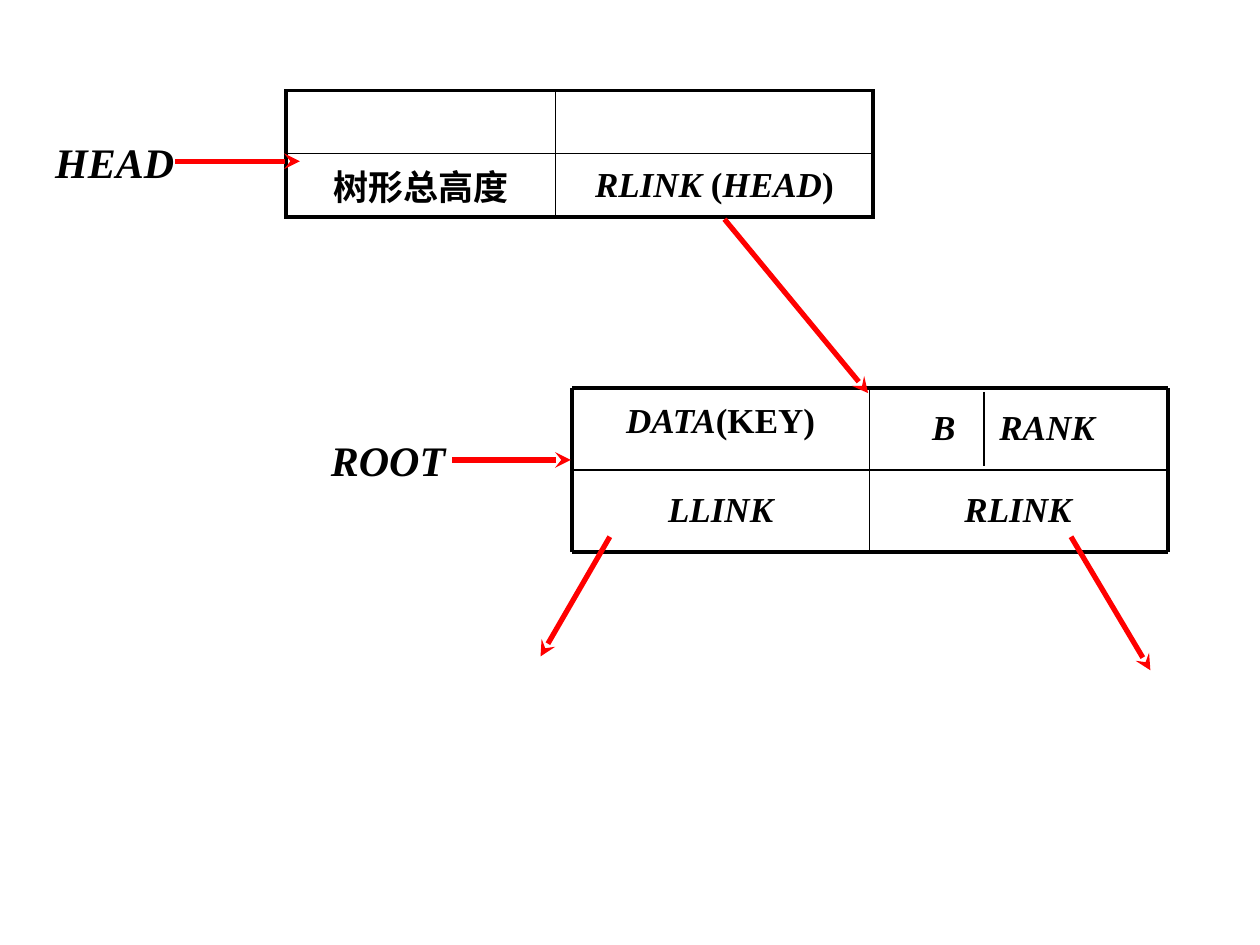
from dataclasses import dataclass

from lxml.etree import SubElement
from pptx import Presentation
from pptx.dml.color import RGBColor
from pptx.enum.shapes import MSO_CONNECTOR
from pptx.enum.text import PP_ALIGN
from pptx.oxml.ns import qn
from pptx.util import Inches, Pt


@dataclass(frozen=True)
class Theme:
    font: str = "Times New Roman"
    ink: RGBColor = RGBColor(0, 0, 0)
    pointer: RGBColor = RGBColor(0xFF, 0, 0)
    field_size: int = 20
    label_size: int = 24
    outer: float = 2.25
    inner: float = 1
    divider: float = 0.75
    arrow: float = 3


THEME = Theme()


def write(frame, runs, size):
    """Write (text, italic) runs as one centred bold paragraph."""
    paragraph = frame.paragraphs[0]
    paragraph.alignment = PP_ALIGN.CENTER
    font = paragraph.font
    font.name, font.size, font.bold = THEME.font, Pt(size), True
    font.color.rgb = THEME.ink
    italics = {italic for _, italic in runs}
    if len(italics) == 1:
        font.italic = italics.pop()
    for text, italic in runs:
        run = paragraph.add_run()
        run.text = text
        if font.italic is None:
            run.font.italic = italic


def add_text(slide, runs, left, top, width, height, size, inset):
    box = slide.shapes.add_textbox(*map(Inches, (left, top, width, height)))
    frame = box.text_frame
    frame.word_wrap = True
    frame.margin_left = frame.margin_right = frame.margin_bottom = 0
    frame.margin_top = Inches(inset)
    write(frame, runs, size)


def add_line(slide, start, end, width, color=THEME.ink):
    line = slide.shapes.add_connector(
        MSO_CONNECTOR.STRAIGHT, *map(Inches, (*start, *end)))
    line.line.width = Pt(width)
    line.line.color.rgb = color
    SubElement(line._element.spPr, qn("a:effectLst"))
    return line


def add_pointer(slide, start, end):
    pointer = add_line(slide, start, end, THEME.arrow, THEME.pointer)
    SubElement(pointer.line._get_or_add_ln(), qn("a:tailEnd"), type="stealth")


def set_borders(cell, widths):
    properties = cell._tc.get_or_add_tcPr()
    for side, width in zip("LRTB", widths):
        border = SubElement(properties, qn(f"a:ln{side}"), w=str(Pt(width)))
        fill = SubElement(border, qn("a:solidFill"))
        SubElement(fill, qn("a:srgbClr"), val=str(THEME.ink))


def add_head_table(slide):
    columns, row_height = (2.14, 2.52), 0.5
    table = slide.shapes.add_table(
        2, 2, Inches(2.27), Inches(0.72),
        Inches(sum(columns)), Inches(2 * row_height)).table
    table.first_row = table.horz_banding = False
    for column, width in zip(table.columns, columns):
        column.width = Inches(width)
    for r, row in enumerate(table.rows):
        row.height = Inches(row_height)
        for c, cell in enumerate(row.cells):
            outside = (c == 0, c == 1, r == 0, r == 1)
            set_borders(cell, [THEME.outer if edge else THEME.inner
                               for edge in outside])
            cell.fill.background()
    height_cell, link_cell = table.cell(1, 0), table.cell(1, 1)
    height_cell.margin_top, link_cell.margin_top = Inches(0.05), Inches(0.1)
    write(height_cell.text_frame, [("树形总高度", False)], THEME.field_size)
    write(link_cell.text_frame,
          [("RLINK", True), (" (", False), ("HEAD", True), (")", False)],
          THEME.field_size)


def add_root_node(slide):
    xs, ys = (4.54, 6.9, 9.27), (3.08, 3.73, 4.38)
    divider = 7.81

    # Fields: runs, left, top, width, top inset
    column = 2.36
    fields = [
        ([("DATA", True), ("(KEY)", False)], xs[0], ys[0], column, 0.08),
        ([("B", True)], 7.17, ys[0], 0.64, 0.14),
        ([("RANK", True)], divider, ys[0], 1, 0.14),
        ([("LLINK", True)], xs[0], ys[1], column, 0.14),
        ([("RLINK", True)], xs[1], ys[1], column, 0.14),
    ]
    for runs, left, top, width, inset in fields:
        add_text(slide, runs, left, top, width, 0.65, THEME.field_size, inset)

    # Grid, with heavy outer edges
    weights = (THEME.outer, THEME.inner, THEME.outer)
    for x, y, weight in zip(xs, ys, weights):
        add_line(slide, (xs[0], y), (xs[-1], y), weight)
        add_line(slide, (x, ys[0]), (x, ys[-1]), weight)
    add_line(slide, (divider, 3.11), (divider, 3.7), THEME.divider)


def main():
    presentation = Presentation()
    presentation.slide_width, presentation.slide_height = Inches(10), Inches(7.5)
    slide = presentation.slides.add_slide(presentation.slide_layouts[6])

    # Records
    add_head_table(slide)
    add_root_node(slide)

    # Record names
    for name, left, top, width in (("HEAD", 0.35, 1.06, 1.12),
                                   ("ROOT", 2.54, 3.43, 1.08)):
        add_text(slide, [(name, True)], left, top, width, 0.4,
                 THEME.label_size, 0.02)

    # Pointers: to the head, to the root, head to root, left and right subtrees
    for start, end in (((1.39, 1.28), (2.38, 1.28)),
                       ((3.59, 3.65), (4.53, 3.65)),
                       ((5.75, 1.74), (6.89, 3.12)),
                       ((4.84, 4.26), (4.29, 5.21)),
                       ((8.5, 4.26), (9.13, 5.32))):
        add_pointer(slide, start, end)

    presentation.save("out.pptx")


if __name__ == "__main__":
    main()
